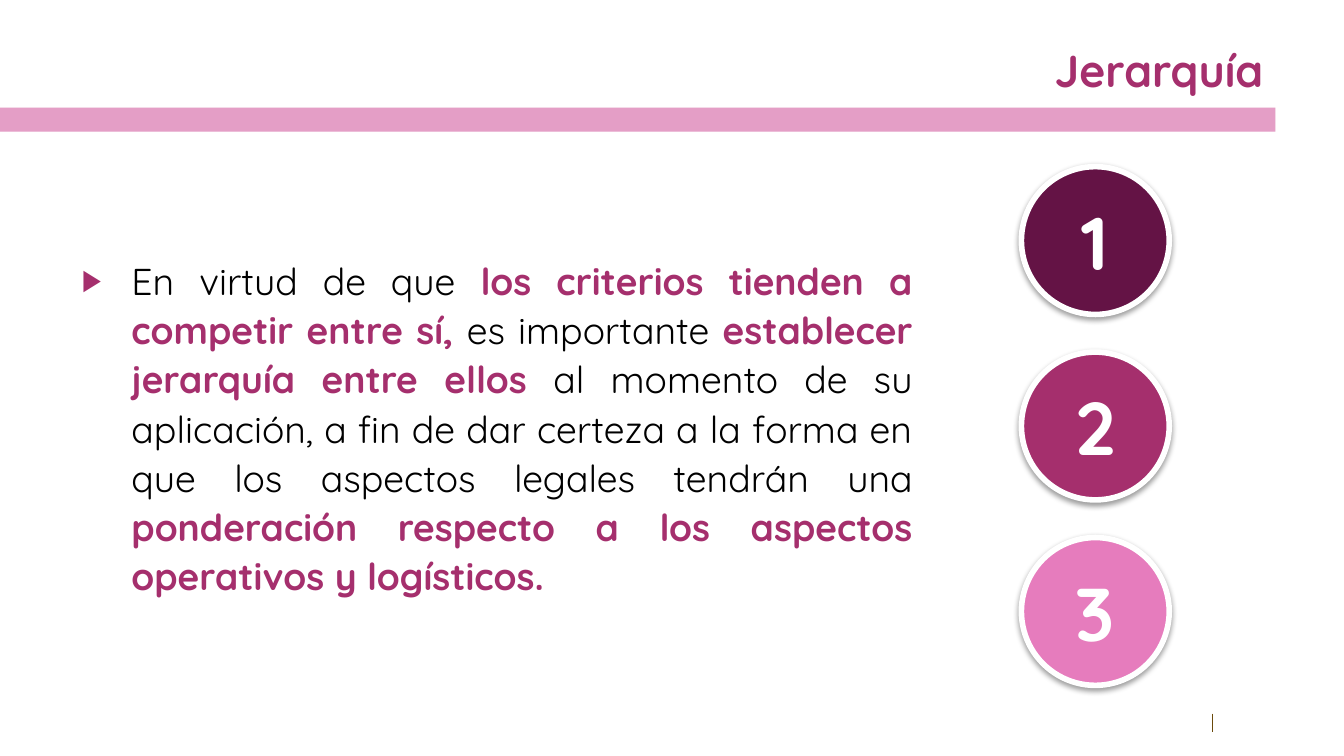
from lxml import etree
from pptx import Presentation
from pptx.dml.color import RGBColor
from pptx.enum.shapes import MSO_CONNECTOR, MSO_SHAPE
from pptx.enum.text import MSO_ANCHOR, PP_ALIGN
from pptx.oxml.ns import qn
from pptx.util import Inches, Pt

STRAIGHT = MSO_CONNECTOR.STRAIGHT
RECTANGLE, OVAL = MSO_SHAPE.RECTANGLE, MSO_SHAPE.OVAL
MIDDLE = MSO_ANCHOR.MIDDLE
CENTER, RIGHT, JUSTIFY = PP_ALIGN.CENTER, PP_ALIGN.RIGHT, PP_ALIGN.JUSTIFY

WIDTH = 10
HEIGHT = WIDTH * 9 / 16
FONT = "Quicksand"
BLACK, WHITE, MAGENTA = "000000", "FFFFFF", "A52F6D"
BAND, BAND_OPACITY = "BA006B", 21
LEVEL_COLORS = ("641345", MAGENTA, "E67CBD")
LEVEL_LEFT, LEVEL_TOP, LEVEL_SIZE, LEVEL_GAP = 7.6, 1.24, 1.1, 0.28
HANGING = 0.37

STATEMENT = (
    ("En virtud de que ", False),
    ("los criterios tienden a competir entre sí, ", True),
    ("es importante ", False),
    ("establecer jerarquía entre ellos ", True),
    ("al momento de su aplicación, a fin de dar certeza a la forma en que "
     "los aspectos legales tendrán una ", False),
    ("ponderación respecto a los aspectos operativos y logísticos.", True),
)


def rgb(value):
    """Turn a hex string into a colour."""
    return RGBColor.from_string(value)


def add_xml(parent, tag, **attributes):
    """Append a DrawingML element and return it."""
    names = {name: str(value) for name, value in attributes.items()}
    return etree.SubElement(parent, qn(tag), names)


def format_run(run, size, color, bold):
    """Give a run its font, size, colour and weight."""
    run.font.name = FONT
    run.font.size = Pt(size)
    run.font.bold = bold
    run.font.color.rgb = rgb(color)


def add_title(slide, text):
    """Place the right-aligned title above the band."""
    title = slide.shapes.title
    title.left, title.top = Inches(4.45), Inches(0.23)
    title.width, title.height = Inches(5.05), Inches(0.58)
    title.text_frame.text = text
    title.text_frame.vertical_anchor = MIDDLE
    paragraph = title.text_frame.paragraphs[0]
    paragraph.alignment = RIGHT
    format_run(paragraph.runs[0], 24, MAGENTA, True)


def add_band(slide):
    """Draw one translucent layer of the band under the title."""
    band = slide.shapes.add_shape(RECTANGLE, 0, Inches(0.8), Inches(9.49), Inches(0.18))
    band.shadow.inherit = False
    band.line.fill.background()
    band.fill.solid()
    band.fill.fore_color.rgb = rgb(BAND)
    color = band.fill._xPr.find(qn("a:solidFill"))[0]
    add_xml(color, "a:alpha", val=BAND_OPACITY * 1000)


def add_footer_mark(slide):
    """Draw the short vertical rule in the footer."""
    x = Inches(9.02)
    mark = slide.shapes.add_connector(STRAIGHT, x, Inches(5.31), x, Inches(5.45))
    mark.line.color.rgb = rgb("6B4A0B")
    mark.line.width = Pt(0.75)
    add_xml(mark._element.spPr, "a:effectLst")


def add_bullet(paragraph, symbol, color):
    """Give a paragraph a hanging coloured bullet."""
    properties = paragraph._p.get_or_add_pPr()
    properties.set("marL", str(Inches(HANGING)))
    properties.set("indent", str(-Inches(HANGING)))
    add_xml(add_xml(properties, "a:buClr"), "a:srgbClr", val=color)
    add_xml(properties, "a:buSzPct", val=80000)
    add_xml(properties, "a:buFont", typeface="Arial")
    add_xml(properties, "a:buChar", char=symbol)


def add_statement(slide, parts):
    """Write the justified paragraph with its emphasised parts."""
    box = slide.shapes.add_textbox(Inches(0.51), Inches(1.31), Inches(6.38), Inches(3.72))
    frame = box.text_frame
    frame.word_wrap = True
    frame.vertical_anchor = MIDDLE
    paragraph = frame.paragraphs[0]
    paragraph.alignment = JUSTIFY
    paragraph.line_spacing = 1.1
    paragraph.space_before = Pt(4)
    paragraph.space_after = Pt(12)
    add_bullet(paragraph, "▶", MAGENTA)
    for text, emphasised in parts:
        run = paragraph.add_run()
        run.text = text
        format_run(run, 20, MAGENTA if emphasised else BLACK, emphasised)


def add_drop_shadow(shape):
    """Cast a soft shadow straight down."""
    shape.shadow.inherit = False
    effects = shape._element.spPr.find(qn("a:effectLst"))
    shadow = add_xml(effects, "a:outerShdw", blurRad=Pt(3.1), dist=Pt(1.6),
                     dir=90 * 60000, rotWithShape=0)
    add_xml(add_xml(shadow, "a:srgbClr", val=BLACK), "a:alpha", val=38000)


def add_level(slide, index, color):
    """Draw one numbered circle of the hierarchy."""
    size = Inches(LEVEL_SIZE)
    top = Inches(LEVEL_TOP + index * (LEVEL_SIZE + LEVEL_GAP))
    level = slide.shapes.add_shape(OVAL, Inches(LEVEL_LEFT), top, size, size)
    level.fill.solid()
    level.fill.fore_color.rgb = rgb(color)
    level.line.color.rgb = rgb(WHITE)
    level.line.width = Pt(3)
    add_drop_shadow(level)
    level.text_frame.text = str(index + 1)
    level.text_frame.vertical_anchor = MIDDLE
    paragraph = level.text_frame.paragraphs[0]
    paragraph.alignment = CENTER
    format_run(paragraph.runs[0], 40, WHITE, True)


def main():
    """Build the slide and save it."""
    deck = Presentation()
    deck.slide_width, deck.slide_height = Inches(WIDTH), Inches(HEIGHT)
    slide = deck.slides.add_slide(deck.slide_layouts[5])
    add_footer_mark(slide)
    for _ in range(2):
        add_band(slide)
    add_title(slide, "Jerarquía")
    add_statement(slide, STATEMENT)
    for index, color in enumerate(LEVEL_COLORS):
        add_level(slide, index, color)
    deck.save("out.pptx")


if __name__ == "__main__":
    main()
